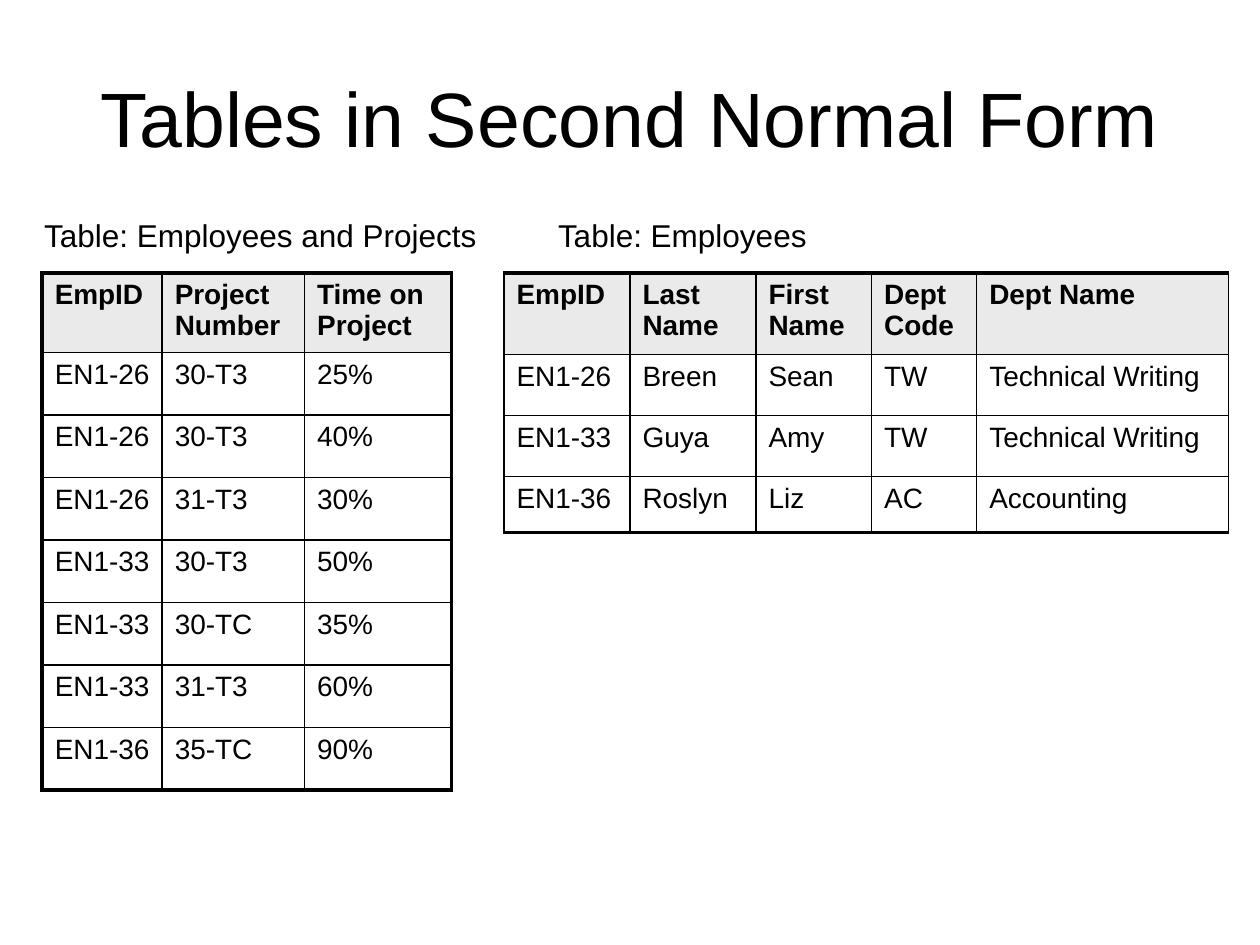
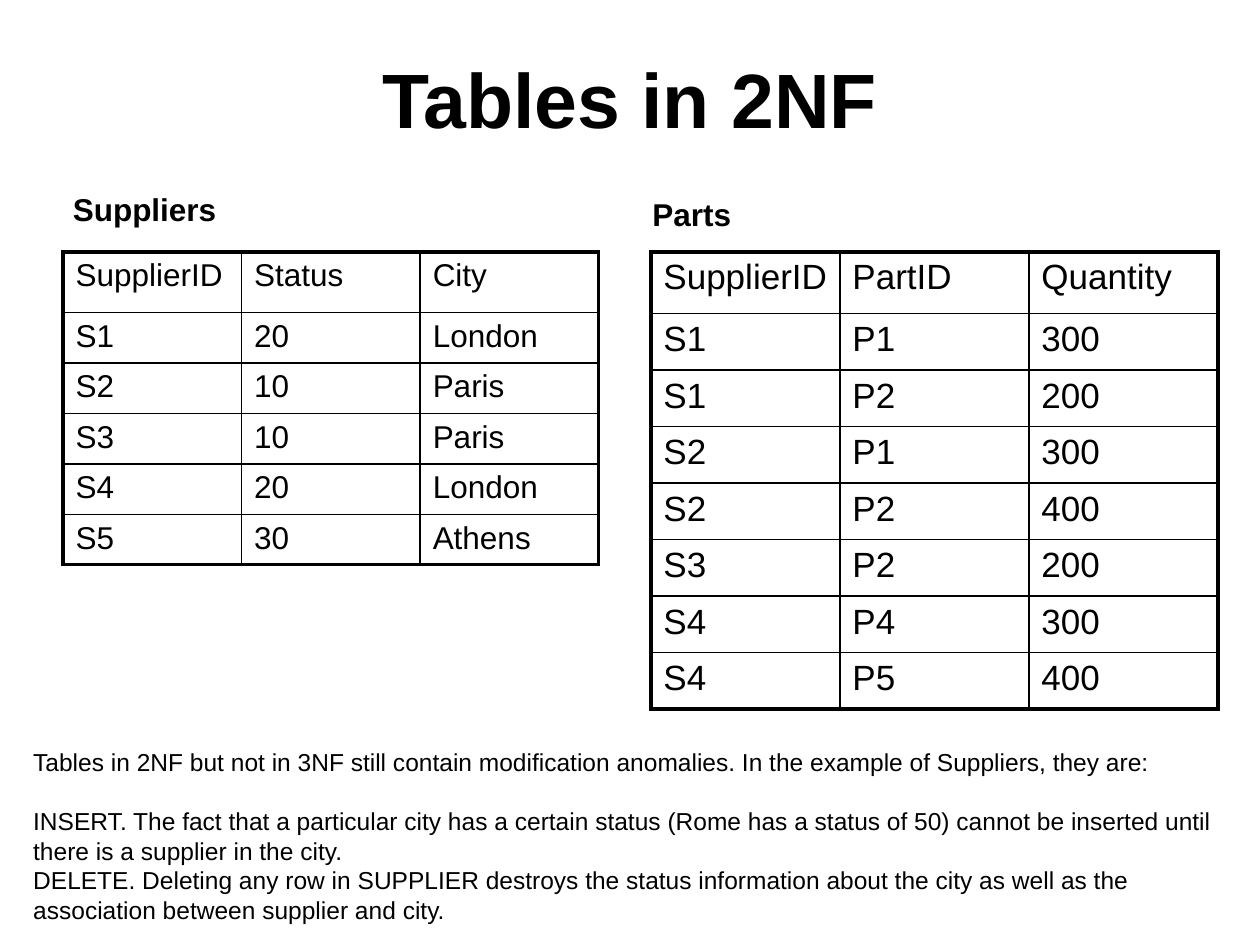
"""Build two slides that show tables in second normal form."""
from dataclasses import dataclass

from lxml import etree
from pptx import Presentation
from pptx.dml.color import RGBColor
from pptx.enum.text import MSO_ANCHOR, PP_ALIGN
from pptx.oxml.ns import qn
from pptx.slide import Slide
from pptx.table import _Cell
from pptx.text.text import _Paragraph
from pptx.util import Cm, Pt

BLACK = RGBColor(0x00, 0x00, 0x00)
GREY = RGBColor(0xEA, 0xEA, 0xEA)
FONT = "Arial"
THIN, THICK = 1, 2.25
MIDDLE, TOP = MSO_ANCHOR.MIDDLE, MSO_ANCHOR.TOP
CENTER, LEFT = PP_ALIGN.CENTER, PP_ALIGN.LEFT


@dataclass
class Label:
    """A text box, with its place in centimetres."""
    lines: list[str]
    left: float
    top: float
    width: float
    height: float
    size: int = 18
    bold: bool = False
    wrap: bool = False
    anchor: MSO_ANCHOR = TOP
    align: PP_ALIGN = LEFT
    lead: int = 0


@dataclass
class Grid:
    """A ruled table, with its place in centimetres."""
    rows: list[str]
    left: float
    top: float
    widths: list[float]
    heights: list[float]
    size: int
    shade: bool = False
    side: float = THICK


def style(para: _Paragraph, size: int, bold: bool) -> None:
    """Set the font of a paragraph."""
    font = para.font
    font.name, font.size, font.bold = FONT, Pt(size), bold
    font.color.rgb = BLACK


def rule(cell: _Cell, edge: str, width: float) -> None:
    """Draw one border of a cell."""
    props = cell._tc.get_or_add_tcPr()
    line = etree.SubElement(props, qn(f"a:ln{edge}"), w=str(int(Pt(width))))
    fill = etree.SubElement(line, qn("a:solidFill"))
    etree.SubElement(fill, qn("a:srgbClr"), val=str(BLACK))


def add_label(slide: Slide, label: Label) -> None:
    """Add a text box with one paragraph for each line."""
    box = slide.shapes.add_textbox(Cm(label.left), Cm(label.top),
                                   Cm(label.width), Cm(label.height))
    frame = box.text_frame
    frame.word_wrap = label.wrap
    frame.vertical_anchor = label.anchor
    frame.text = "\n".join(label.lines)
    for para in frame.paragraphs:
        para.alignment = label.align
        style(para, label.size, label.bold)
    if label.lead:
        frame.paragraphs[1].space_before = Pt(label.lead)


def add_title(slide: Slide, text: str, height: float, bold: bool) -> None:
    """Add the centred title of a slide."""
    add_label(slide, Label([text], 1.27, 0.76, 22.86, height, 44, bold,
                           True, MIDDLE, CENTER))


def add_grid(slide: Slide, grid: Grid) -> None:
    """Add a table with a heavy frame and thin inner lines."""
    count, span = len(grid.heights), len(grid.widths)
    table = slide.shapes.add_table(
        count, span, Cm(grid.left), Cm(grid.top),
        Cm(sum(grid.widths)), Cm(sum(grid.heights))).table
    table.first_row = table.horz_banding = False
    for col, width in zip(table.columns, grid.widths):
        col.width = Cm(width)
    for row, height in zip(table.rows, grid.heights):
        row.height = Cm(height)
    for y, line in enumerate(grid.rows):
        for x, text in enumerate(line.split("|")):
            cell = table.cell(y, x)
            head = grid.shade and y == 0
            cell.text = text
            style(cell.text_frame.paragraphs[0], grid.size, head)
            rule(cell, "L", grid.side if x == 0 else THIN)
            rule(cell, "R", grid.side if x == span - 1 else THIN)
            rule(cell, "T", THICK if y == 0 else THIN)
            rule(cell, "B", THICK if y == count - 1 else THIN)
            if head:
                cell.fill.solid()
                cell.fill.fore_color.rgb = GREY
            else:
                cell.fill.background()


WORK = Grid([
    "EmpID|Project Number|Time on Project",
    "EN1-26|30-T3|25%",
    "EN1-26|30-T3|40%",
    "EN1-26|31-T3|30%",
    "EN1-33|30-T3|50%",
    "EN1-33|30-TC|35%",
    "EN1-33|31-T3|60%",
    "EN1-36|35-TC|90%",
], 0.85, 5.5, [2.42, 2.87, 2.96], [1.35] + [1.26] * 7, 16, shade=True)

STAFF = Grid([
    "EmpID|Last Name|First Name|Dept Code|Dept Name",
    "EN1-26|Breen|Sean|TW|Technical Writing",
    "EN1-33|Guya|Amy|TW|Technical Writing",
    "EN1-36|Roslyn|Liz|AC|Accounting",
], 10.16, 5.5, [2.54, 2.54, 2.33, 2.12, 5.08], [1.65, 1.23, 1.23, 1.12],
    16, shade=True, side=THIN)

SOURCES = Grid([
    "SupplierID|Status|City",
    "S1|20|London",
    "S2|10|Paris",
    "S3|10|Paris",
    "S4|20|London",
    "S5|30|Athens",
], 1.27, 5.08, [3.6] * 3, [1.22] + [0.97] * 5, 18)

PARTS = Grid([
    "SupplierID|PartID|Quantity",
    "S1|P1|300",
    "S1|P2|200",
    "S2|P1|300",
    "S2|P2|400",
    "S3|P2|200",
    "S4|P4|300",
    "S4|P5|400",
], 13.12, 5.08, [3.81] * 3, [1.24] + [1.14] * 7, 20)

NOTE = Label([
    "Tables in 2NF but not in 3NF still contain modification anomalies. "
    "In the example of Suppliers, they are:",
    "INSERT. The fact that a particular city has a certain status (Rome has "
    "a status of 50) cannot be inserted until there is a supplier in the city.",
    "DELETE. Deleting any row in SUPPLIER destroys the status information "
    "about the city as well as the association between supplier and city.",
], 0.42, 14.94, 24.55, 3.81, 14, wrap=True, anchor=MIDDLE, lead=17)


def main() -> None:
    """Build and save the slides."""
    deck = Presentation()
    deck.slide_width, deck.slide_height = Cm(25.4), Cm(19.05)
    blank = deck.slide_layouts[6]

    staff = deck.slides.add_slide(blank)
    add_title(staff, "Tables in Second Normal Form", 3.18, False)
    add_grid(staff, WORK)
    add_label(staff, Label(["Table: Employees and Projects"],
                           0.64, 4.24, 9.3, 1.02))
    add_grid(staff, STAFF)
    add_label(staff, Label(["Table: Employees"], 11, 4.24, 5.59, 1.02))

    parts = deck.slides.add_slide(blank)
    add_title(parts, "Tables in 2NF", 2.41, True)
    add_grid(parts, SOURCES)
    add_label(parts, NOTE)
    add_grid(parts, PARTS)
    add_label(parts, Label(["Suppliers"], 1.22, 3.71, 3.4, 1.02, bold=True))
    add_label(parts, Label(["Parts"], 12.9, 3.81, 2.11, 1.02, bold=True))

    deck.save("out.pptx")


if __name__ == "__main__":
    main()
